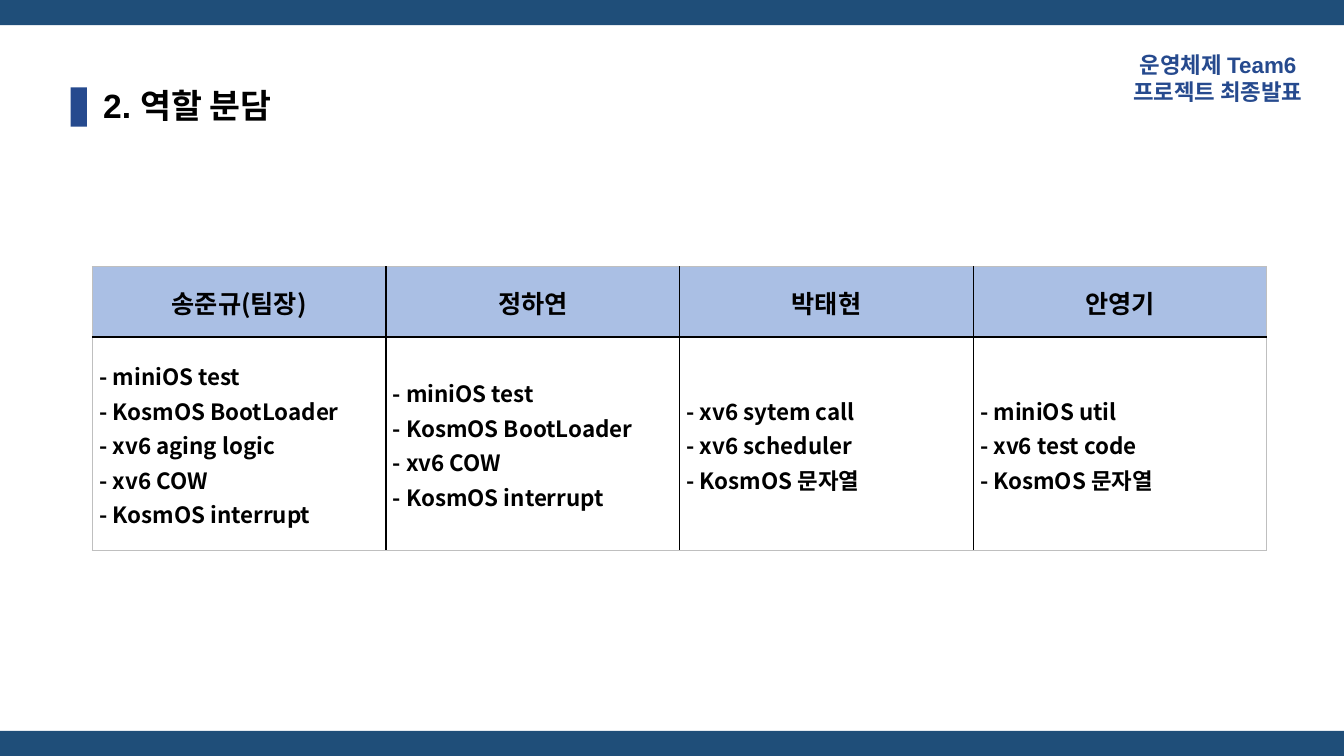
import dataclasses

import lxml.etree
import pptx
import pptx.dml.color
import pptx.enum.shapes
import pptx.enum.text
import pptx.oxml.ns
import pptx.util

Pt = pptx.util.Pt
ALIGN = pptx.enum.text.PP_ALIGN
MIDDLE = pptx.enum.text.MSO_ANCHOR.MIDDLE


@dataclasses.dataclass(frozen=True)
class Theme:
    band: str = "1F4E79"
    accent: str = "264A8E"
    header: str = "AABFE4"
    ink: str = "000000"
    frame: str = "BFBFBF"
    latin: str = "Arial"
    korean: str = "Noto Sans CJK KR"
    title_size: float = 24
    name_size: float = 18
    body_size: float = 16


THEME = Theme()
WIDTH, HEIGHT = 960, 540
BAND_HEIGHT = 18

ROLES = {
    "송준규(팀장)": ["miniOS test", "KosmOS BootLoader", "xv6 aging logic",
                "xv6 COW", "KosmOS interrupt"],
    "정하연": ["miniOS test", "KosmOS BootLoader", "xv6 COW", "KosmOS interrupt"],
    "박태현": ["xv6 sytem call", "xv6 scheduler", "KosmOS 문자열"],
    "안영기": ["miniOS util", "xv6 test code", "KosmOS 문자열"],
}


def rgb(color):
    return pptx.dml.color.RGBColor.from_string(color)


def add_child(parent, tag, **attributes):
    return lxml.etree.SubElement(parent, pptx.oxml.ns.qn(tag), **attributes)


def write_lines(frame, lines, size, color, font, align, spacing=None):
    """Fill the frame with one bold paragraph for each line."""
    for index, line in enumerate(lines):
        para = frame.add_paragraph() if index else frame.paragraphs[0]
        para.alignment = align
        if spacing:
            para.line_spacing = spacing
        span = para.add_run()
        span.text = line
        span.font.size = Pt(size)
        span.font.bold = True
        span.font.name = font
        span.font.color.rgb = rgb(color)
        add_child(span.font._element, "a:ea", typeface=THEME.korean)


def add_bar(page, left, top, width, height, color):
    bar = page.shapes.add_shape(pptx.enum.shapes.MSO_SHAPE.RECTANGLE,
                                Pt(left), Pt(top), Pt(width), Pt(height))
    bar.shadow.inherit = False
    bar.fill.solid()
    bar.fill.fore_color.rgb = rgb(color)
    bar.line.fill.background()


def add_bands(page):
    for top in (0, HEIGHT - BAND_HEIGHT):
        add_bar(page, 0, top, WIDTH, BAND_HEIGHT, THEME.band)


def add_course_label(page, left, top, width, height):
    box = page.shapes.add_textbox(Pt(left), Pt(top), Pt(width), Pt(height))
    box.text_frame.word_wrap = True
    write_lines(box.text_frame, ["운영체제 Team6 ", "프로젝트 최종발표"],
                THEME.body_size, THEME.accent, THEME.latin, ALIGN.RIGHT)


def add_heading(page, left, top, width, height):
    """Place the marker and, to its right, the title."""
    marker_width, indent = 11.5, 16
    add_bar(page, left, top, marker_width, height, THEME.accent)
    title = page.shapes.title
    title.left, title.top = Pt(left + indent), Pt(top)
    title.width, title.height = Pt(width - indent), Pt(height)
    frame = title.text_frame
    frame.auto_size = pptx.enum.text.MSO_AUTO_SIZE.NONE
    frame.vertical_anchor = MIDDLE
    write_lines(frame, ["2. 역할 분담"], THEME.title_size, THEME.ink,
                THEME.latin, ALIGN.LEFT, 0.9)


def set_borders(cell, borders):
    """Draw the cell's sides from (side, colour, points), in L, R, T, B order."""
    properties = cell._tc.get_or_add_tcPr()
    for side, color, points in borders:
        line = add_child(properties, "a:ln" + side, w=str(int(Pt(points))))
        fill = add_child(line, "a:solidFill")
        add_child(fill, "a:srgbClr", val=color)


def add_roles_table(page, left, top, width, header_height, body_height):
    count = len(ROLES)
    table = page.shapes.add_table(2, count, Pt(left), Pt(top), Pt(width),
                                  Pt(header_height + body_height)).table
    table.first_row = table.horz_banding = False
    table.rows[0].height = Pt(header_height)
    table.rows[1].height = Pt(body_height)
    outer, inner, rule = (THEME.frame, 1), (THEME.ink, 1), (THEME.ink, 1.5)

    for index, (name, tasks) in enumerate(ROLES.items()):
        table.columns[index].width = Pt(width / count)
        header, body = table.cell(0, index), table.cell(1, index)
        left_edge = outer if index == 0 else inner
        right_edge = outer if index == count - 1 else inner
        for cell, upper, lower in ((header, outer, rule), (body, rule, outer)):
            cell.vertical_anchor = MIDDLE
            set_borders(cell, [("L", *left_edge), ("R", *right_edge),
                               ("T", *upper), ("B", *lower)])
        header.fill.solid()
        header.fill.fore_color.rgb = rgb(THEME.header)
        write_lines(header.text_frame, [name], THEME.name_size, THEME.ink,
                    THEME.korean, ALIGN.CENTER)
        body.fill.background()
        body.margin_left = body.margin_right = Pt(5)
        body.margin_top = body.margin_bottom = Pt(0)
        write_lines(body.text_frame, [f"- {task}" for task in tasks],
                    THEME.body_size, THEME.ink, THEME.korean, ALIGN.LEFT, 1.07)


def main():
    deck = pptx.Presentation()
    deck.slide_width, deck.slide_height = Pt(WIDTH), Pt(HEIGHT)
    page = deck.slides.add_slide(deck.slide_layouts[5])
    add_bands(page)
    add_course_label(page, 782.5, 33, 155, 46)
    add_heading(page, 50.5, 62.5, 646.5, 28)
    add_roles_table(page, 66, 190.5, 839, 50.5, 152)
    deck.save("out.pptx")


if __name__ == "__main__":
    main()
